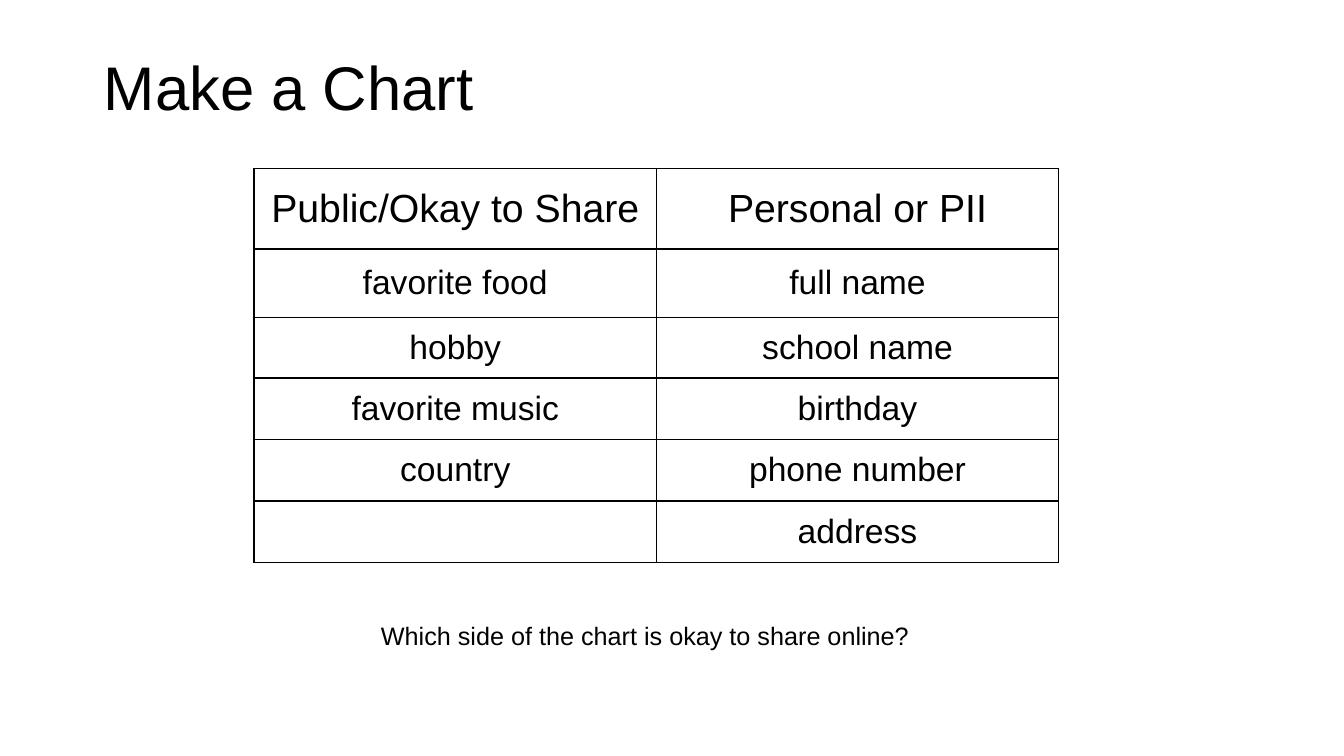
import pptx
import pptx.dml.color
import pptx.enum.text
import pptx.oxml
import pptx.oxml.ns
import pptx.util

BLACK = pptx.dml.color.RGBColor(0, 0, 0)
WHITE = pptx.dml.color.RGBColor(255, 255, 255)
MIDDLE = pptx.enum.text.MSO_ANCHOR.MIDDLE
LEFT = pptx.enum.text.PP_ALIGN.LEFT
CENTER = pptx.enum.text.PP_ALIGN.CENTER
Inches = pptx.util.Inches

SHARING_ROWS = [
    ("Public/Okay to Share", "Personal or PII"),
    ("favorite food", "full name"),
    ("hobby", "school name"),
    ("favorite music", "birthday"),
    ("country", "phone number"),
    ("", "address"),
]
ROW_HEIGHTS = [0.8, 0.68, 0.6, 0.61, 0.61, 0.61]
COLUMN_WIDTH = 3.99


def write_text(text_frame, text, size, alignment):
    text_frame.text = text
    paragraph = text_frame.paragraphs[0]
    paragraph.alignment = alignment
    for run in paragraph.runs:
        run.font.name = "Arial"
        run.font.size = pptx.util.Pt(size)
        run.font.color.rgb = BLACK


def add_borders(cell):
    properties = cell._tc.get_or_add_tcPr()
    for position, side in enumerate(("lnL", "lnR", "lnT", "lnB")):
        border = pptx.oxml.parse_xml(
            f'<a:{side} {pptx.oxml.ns.nsdecls("a")} w="{pptx.util.Pt(1)}">'
            f'<a:solidFill><a:srgbClr val="{BLACK}"/></a:solidFill></a:{side}>'
        )
        properties.insert(position, border)


presentation = pptx.Presentation()
presentation.slide_width = Inches(13.33)
presentation.slide_height = Inches(7.5)
slide = presentation.slides.add_slide(presentation.slide_layouts[5])

title = slide.shapes.title
title.left, title.top = Inches(0.93), Inches(0.4)
title.width, title.height = Inches(11.73), Inches(1)
write_text(title.text_frame, "Make a Chart", 44, LEFT)
title.text_frame.vertical_anchor = MIDDLE
title.text_frame.paragraphs[0].line_spacing = 0.9

table = slide.shapes.add_table(
    len(SHARING_ROWS), 2, Inches(2.52), Inches(1.67),
    Inches(2 * COLUMN_WIDTH), Inches(sum(ROW_HEIGHTS)),
).table
table.horz_banding = False
for column in table.columns:
    column.width = Inches(COLUMN_WIDTH)
for row_index, (texts, height) in enumerate(zip(SHARING_ROWS, ROW_HEIGHTS)):
    row = table.rows[row_index]
    row.height = Inches(height)
    for cell, text in zip(row.cells, texts):
        write_text(cell.text_frame, text, 28 if row_index == 0 else 24, CENTER)
        for run in cell.text_frame.paragraphs[0].runs:
            run.font.bold = False
        cell.vertical_anchor = MIDDLE
        cell.fill.solid()
        cell.fill.fore_color.rgb = WHITE
        add_borders(cell)

question = slide.shapes.add_textbox(Inches(3.68), Inches(6.1), Inches(5.84), Inches(0.4))
question.text_frame.word_wrap = True
question.text_frame.auto_size = pptx.enum.text.MSO_AUTO_SIZE.SHAPE_TO_FIT_TEXT
write_text(question.text_frame, "Which side of the chart is okay to share online?", 18, LEFT)

presentation.save("out.pptx")
